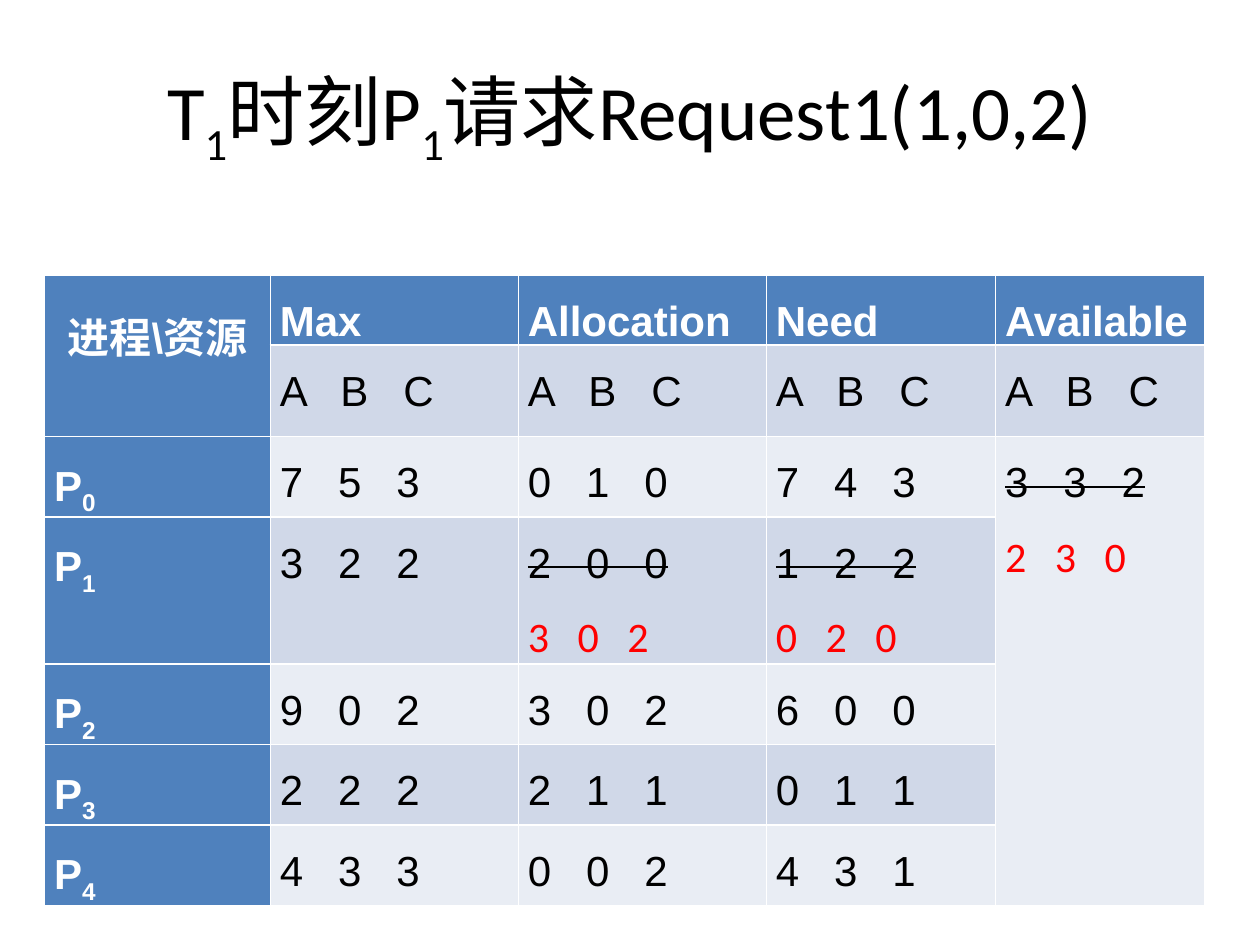
from dataclasses import dataclass

from pptx import Presentation
from pptx.dml.color import RGBColor
from pptx.enum.text import MSO_ANCHOR, PP_ALIGN
from pptx.util import Cm, Pt

MIDDLE = MSO_ANCHOR.MIDDLE
CENTER, JUSTIFY = PP_ALIGN.CENTER, PP_ALIGN.JUSTIFY
TITLE_ONLY = 5


@dataclass(frozen=True)
class Theme:
    head: RGBColor = RGBColor(0x4F, 0x81, 0xBD)
    bands: tuple = (RGBColor(0xE9, 0xED, 0xF4), RGBColor(0xD0, 0xD8, 0xE8))
    white: RGBColor = RGBColor(0xFF, 0xFF, 0xFF)
    black: RGBColor = RGBColor(0, 0, 0)
    red: RGBColor = RGBColor(0xFF, 0, 0)
    sans: str = "Calibri"
    body: str = "Arial"
    big: Pt = Pt(44)
    small: Pt = Pt(24)


THEME = Theme()

TITLE = [("T", "1"), ("时刻P", "1"), ("请求Request1(1,0,2)", "")]
HEADS = ["进程\\资源", "Max", "Allocation", "Need", "Available"]
# Each entry lists the old value and, where it changes, the new one.
NEEDS = [
    (["753"], ["010"], ["743"]),
    (["322"], ["200", "302"], ["122", "020"]),
    (["902"], ["302"], ["600"]),
    (["222"], ["211"], ["011"]),
    (["433"], ["002"], ["431"]),
]
FREE = ["332", "230"]
WIDTHS = [4.55, 5.0, 5.0, 4.62, 4.22]
ROW = 1.35


def style(para, name, size, color, bold=False):
    font = para.font
    font.name, font.size, font.bold = name, size, bold
    font.color.rgb = color


def add_run(para, text, **marks):
    run = para.add_run()
    run.text = text
    props = run._r.get_or_add_rPr()
    for key, value in marks.items():
        props.set(key, value)


def add_pairs(para, pairs):
    """Write each base text followed by its subscript."""
    for base, sub in pairs:
        add_run(para, base)
        if sub:
            add_run(para, sub, baseline="-25000")


def add_title(slide, left, top, width, height):
    title = slide.shapes.title
    title.left, title.top, title.width, title.height = left, top, width, height
    title.text_frame.vertical_anchor = MIDDLE
    para = title.text_frame.paragraphs[0]
    para.alignment = CENTER
    style(para, THEME.sans, THEME.big, THEME.black)
    add_pairs(para, TITLE)


def set_para(para, align=JUSTIFY):
    para.alignment = align
    para.line_spacing = 1.5


def fill_cell(cell, color):
    cell.fill.solid()
    cell.fill.fore_color.rgb = color
    cell.margin_left = cell.margin_right = Cm(0.19)
    cell.margin_top = cell.margin_bottom = 0


def put_head(cell, pairs, align=JUSTIFY):
    fill_cell(cell, THEME.head)
    para = cell.text_frame.paragraphs[0]
    set_para(para, align)
    style(para, THEME.body, THEME.small, THEME.white, True)
    add_pairs(para, pairs)


def put_data(cell, values, color):
    """Write the value; when a new one follows, strike the old one out."""
    fill_cell(cell, color)
    frame = cell.text_frame
    old = frame.paragraphs[0]
    set_para(old)
    style(old, THEME.body, THEME.small, THEME.black)
    marks = {"strike": "sngStrike"} if len(values) > 1 else {}
    add_run(old, "   ".join(values[0]), **marks)
    for value in values[1:]:
        new = frame.add_paragraph()
        set_para(new)
        style(new, THEME.sans, THEME.small, THEME.red)
        add_run(new, "   ".join(value))


def add_grid(slide, left, top, width, height):
    rows, cols = len(NEEDS) + 2, len(HEADS)
    frame = slide.shapes.add_table(rows, cols, left, top, width, height)
    table = frame.table
    table.first_col = True
    for col, size in zip(table.columns, WIDTHS):
        col.width = Cm(size)
    for row in table.rows:
        row.height = Cm(ROW)
    frame.height = height

    last = cols - 1
    table.cell(0, 0).merge(table.cell(1, 0))
    table.cell(2, last).merge(table.cell(rows - 1, last))

    for c, name in enumerate(HEADS):
        put_head(table.cell(0, c), [(name, "")], JUSTIFY if c else CENTER)
        if c:
            put_data(table.cell(1, c), ["ABC"], THEME.bands[1])
    for i, line in enumerate(NEEDS):
        put_head(table.cell(i + 2, 0), [("P", str(i))])
        for c, values in enumerate(line, 1):
            put_data(table.cell(i + 2, c), values, THEME.bands[i % 2])
    put_data(table.cell(2, last), FREE, THEME.bands[0])


def main():
    deck = Presentation()
    deck.slide_width, deck.slide_height = Cm(25.4), Cm(19.05)
    slide = deck.slides.add_slide(deck.slide_layouts[TITLE_ONLY])
    add_title(slide, Cm(1.27), Cm(0.76), Cm(22.86), Cm(3.18))
    add_grid(slide, Cm(0.9), Cm(5.54), Cm(sum(WIDTHS)), Cm(12.19))
    deck.save("out.pptx")


if __name__ == "__main__":
    main()
